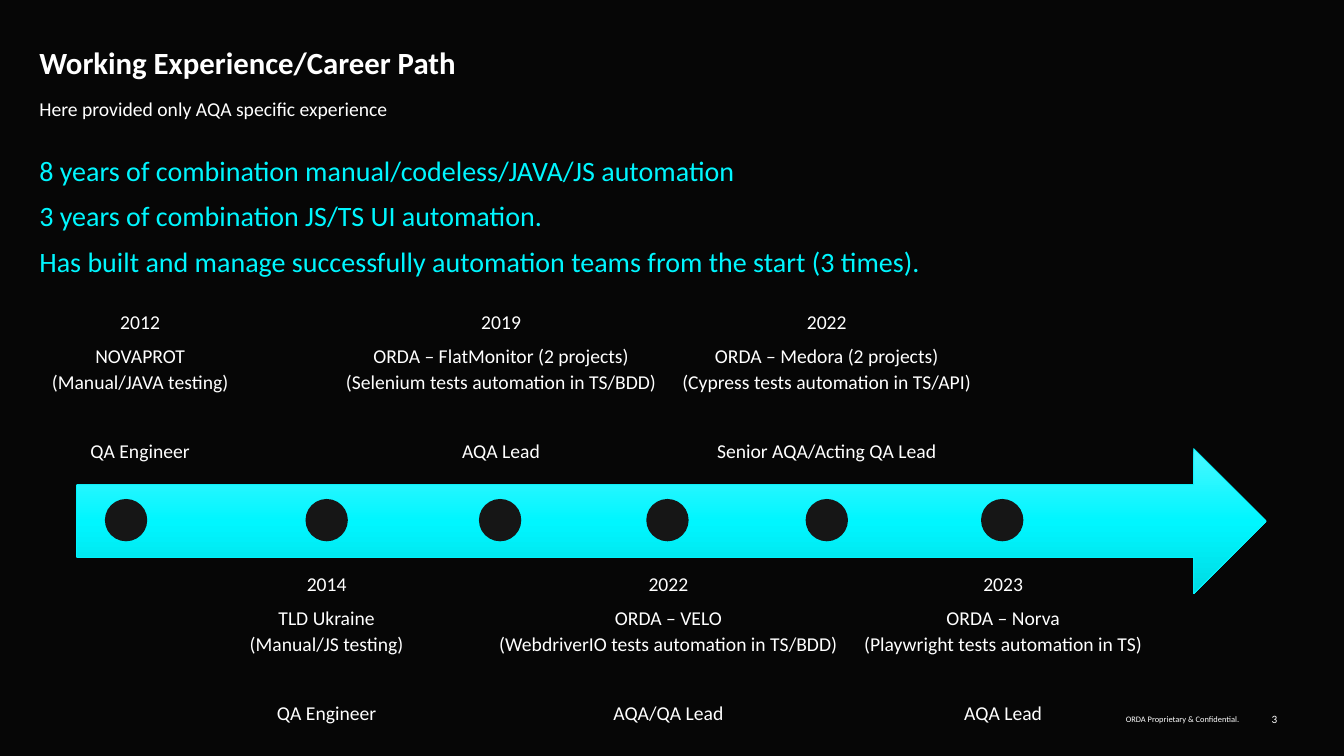
from copy import deepcopy
from dataclasses import dataclass

from pptx import Presentation
from pptx import util as u
from pptx.dml.color import RGBColor
from pptx.enum import shapes, text
from pptx.oxml.ns import qn
from pptx.slide import Slide


@dataclass(frozen=True)
class Theme:
    font: str = "Calibri"
    background: str = "060606"
    white: str = "FFFFFF"
    accent: str = "00F6FF"
    arrow_top: str = "4BF7FF"
    arrow_bottom: str = "00DBE3"
    dot: str = "161616"
    title_size: float = 22
    summary_size: float = 20
    body_size: float = 14
    number_size: float = 8
    footer_size: float = 6


@dataclass(frozen=True)
class Box:
    left: float
    top: float
    width: float
    height: float

    def lengths(self) -> list[int]:
        return [u.Inches(v) for v in (self.left, self.top, self.width, self.height)]


@dataclass(frozen=True)
class Line:
    words: str
    space_before: float = 0


@dataclass(frozen=True)
class Milestone:
    dot_center: float
    label_center: float
    above: bool
    year: str
    project: str
    role: str


@dataclass(frozen=True)
class Label:
    box: Box
    lines: list[Line]
    format: dict


THEME = Theme()
LEFT = text.PP_ALIGN.LEFT
CENTER = text.PP_ALIGN.CENTER
RIGHT = text.PP_ALIGN.RIGHT
MIDDLE = text.MSO_ANCHOR.MIDDLE

DOT_SIZE = 0.42
DOT_TOP = 4.95
LABEL_WIDTH = 1.91
LABEL_HEIGHT = 1.84
LABEL_TOP = {True: 3.05, False: 5.65}
PARAGRAPH_GAP = 6
ROLE_GAP = 31

MILESTONES = [
    Milestone(1.25, 1.39, True, "2012", "NOVAPROT\n(Manual/JAVA testing)", "QA Engineer"),
    Milestone(3.24, 3.24, False, "2014", "TLD Ukraine\n(Manual/JS testing)", "QA Engineer"),
    Milestone(4.96, 4.97, True, "2019",
              "ORDA – FlatMonitor (2 projects)\n(Selenium tests automation in TS/BDD)", "AQA Lead"),
    Milestone(6.62, 6.63, False, "2022",
              "ORDA – VELO\n(WebdriverIO tests automation in TS/BDD)", "AQA/QA Lead"),
    Milestone(8.2, 8.2, True, "2022",
              "ORDA – Medora (2 projects)\n(Cypress tests automation in TS/API)",
              "Senior AQA/Acting QA Lead"),
    Milestone(9.94, 9.95, False, "2023",
              "ORDA – Norva\n(Playwright tests automation in TS)", "AQA Lead"),
]

LABELS = [
    Label(Box(10.41, 7.01, 1.88, 0.24), [Line("ORDA Proprietary & Confidential.")],
          {"size": THEME.footer_size, "align": RIGHT, "anchor": MIDDLE}),
    Label(Box(12.4, 7.01, 0.27, 0.24), [Line("3")],
          {"size": THEME.number_size, "align": RIGHT, "anchor": MIDDLE}),
    Label(Box(0.39, 0.96, 11.92, 0.53), [Line("Here provided only AQA specific experience")], {}),
    Label(Box(0.39, 1.49, 12.69, 1.44),
          [Line("8 years of combination manual/codeless/JAVA/JS automation"),
           Line("3 years of combination JS/TS UI automation.", PARAGRAPH_GAP),
           Line("Has built and manage successfully automation teams from the start (3 times).",
                PARAGRAPH_GAP)],
          {"size": THEME.summary_size, "color": THEME.accent, "spacing": 1.1, "wrap": False}),
]


def write_text(shape, lines: list[Line], size: float = THEME.body_size,
               color: str = THEME.white, bold: bool = False, align=LEFT,
               anchor=text.MSO_ANCHOR.TOP, spacing: float = 1, wrap: bool = True) -> None:
    frame = shape.text_frame
    frame_format = {"margin_left": 0, "margin_top": 0, "margin_right": 0, "margin_bottom": 0,
                    "word_wrap": wrap, "vertical_anchor": anchor,
                    "auto_size": text.MSO_AUTO_SIZE.NONE}
    for name, value in frame_format.items():
        setattr(frame, name, value)
    for index, line in enumerate(lines):
        paragraph = frame.add_paragraph() if index else frame.paragraphs[0]
        paragraph.text = line.words
        paragraph_format = {"alignment": align, "line_spacing": spacing,
                            "space_before": u.Pt(line.space_before)}
        for name, value in paragraph_format.items():
            setattr(paragraph, name, value)
        for run in paragraph.runs:
            for name, value in {"name": THEME.font, "size": u.Pt(size), "bold": bold}.items():
                setattr(run.font, name, value)
            run.font.color.rgb = RGBColor.from_string(color)
        # Line breaks take the type size of the words around them
        for line_break in paragraph._p.findall(qn("a:br")):
            line_break.append(deepcopy(paragraph.runs[0]._r.rPr))


def add_label(slide: Slide, label: Label) -> None:
    write_text(slide.shapes.add_textbox(*label.box.lengths()), label.lines, **label.format)


def add_arrow(slide: Slide, box: Box) -> None:
    arrow = slide.shapes.add_shape(shapes.MSO_SHAPE.RIGHT_ARROW, *box.lengths())
    arrow.shadow.inherit = False
    arrow.fill.gradient()
    arrow.fill.gradient_angle = 270
    stop_list = arrow._element.spPr.find(qn("a:gradFill")).find(qn("a:gsLst"))
    stop_list.append(deepcopy(stop_list[0]))
    colors = [THEME.arrow_top, THEME.accent, THEME.arrow_bottom]
    for index, (stop, color) in enumerate(zip(arrow.fill.gradient_stops, colors)):
        stop.position = index / 2
        stop.color.rgb = RGBColor.from_string(color)
    arrow.line.color.rgb = RGBColor.from_string(THEME.accent)
    arrow.line.width = u.Pt(0.5)


def add_milestone(slide: Slide, milestone: Milestone) -> None:
    dot_box = Box(milestone.dot_center - DOT_SIZE / 2, DOT_TOP, DOT_SIZE, DOT_SIZE)
    dot = slide.shapes.add_shape(shapes.MSO_SHAPE.OVAL, *dot_box.lengths())
    dot.shadow.inherit = False
    dot.fill.solid()
    dot.fill.fore_color.rgb = RGBColor.from_string(THEME.dot)
    dot.line.fill.background()
    add_label(slide, Label(
        Box(milestone.label_center - LABEL_WIDTH / 2, LABEL_TOP[milestone.above],
            LABEL_WIDTH, LABEL_HEIGHT),
        [Line(milestone.year), Line(milestone.project, PARAGRAPH_GAP),
         Line(milestone.role, ROLE_GAP)],
        {"align": CENTER, "spacing": 1.1, "wrap": False}))


def main() -> None:
    presentation = Presentation()
    presentation.slide_width = u.Inches(13.33)
    presentation.slide_height = u.Inches(7.5)
    slide = presentation.slides.add_slide(presentation.slide_layouts.get_by_name("Title Only"))
    slide.background.fill.solid()
    slide.background.fill.fore_color.rgb = RGBColor.from_string(THEME.background)

    # Title
    title = slide.shapes.title
    title_box = Box(0.39, 0.43, 11.92, 0.37)
    for name, value in zip(("left", "top", "width", "height"), title_box.lengths()):
        setattr(title, name, value)
    write_text(title, [Line("Working Experience/Career Path")], THEME.title_size, bold=True)

    # Subtitle, summary and footer
    for label in LABELS:
        add_label(slide, label)

    # Career timeline
    add_arrow(slide, Box(0.76, 4.45, 11.8, 1.44))
    for milestone in MILESTONES:
        add_milestone(slide, milestone)

    presentation.save("out.pptx")


if __name__ == "__main__":
    main()
